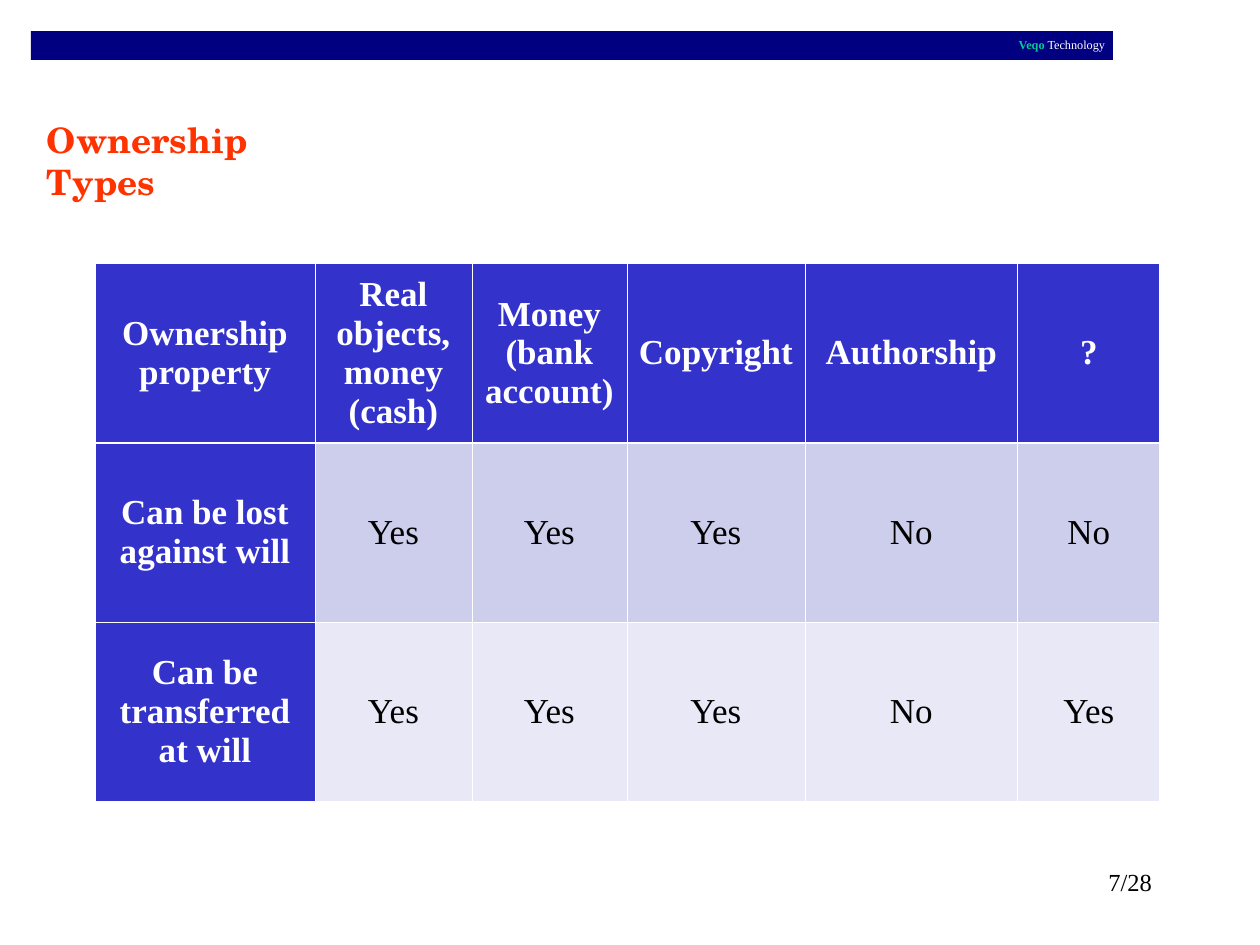
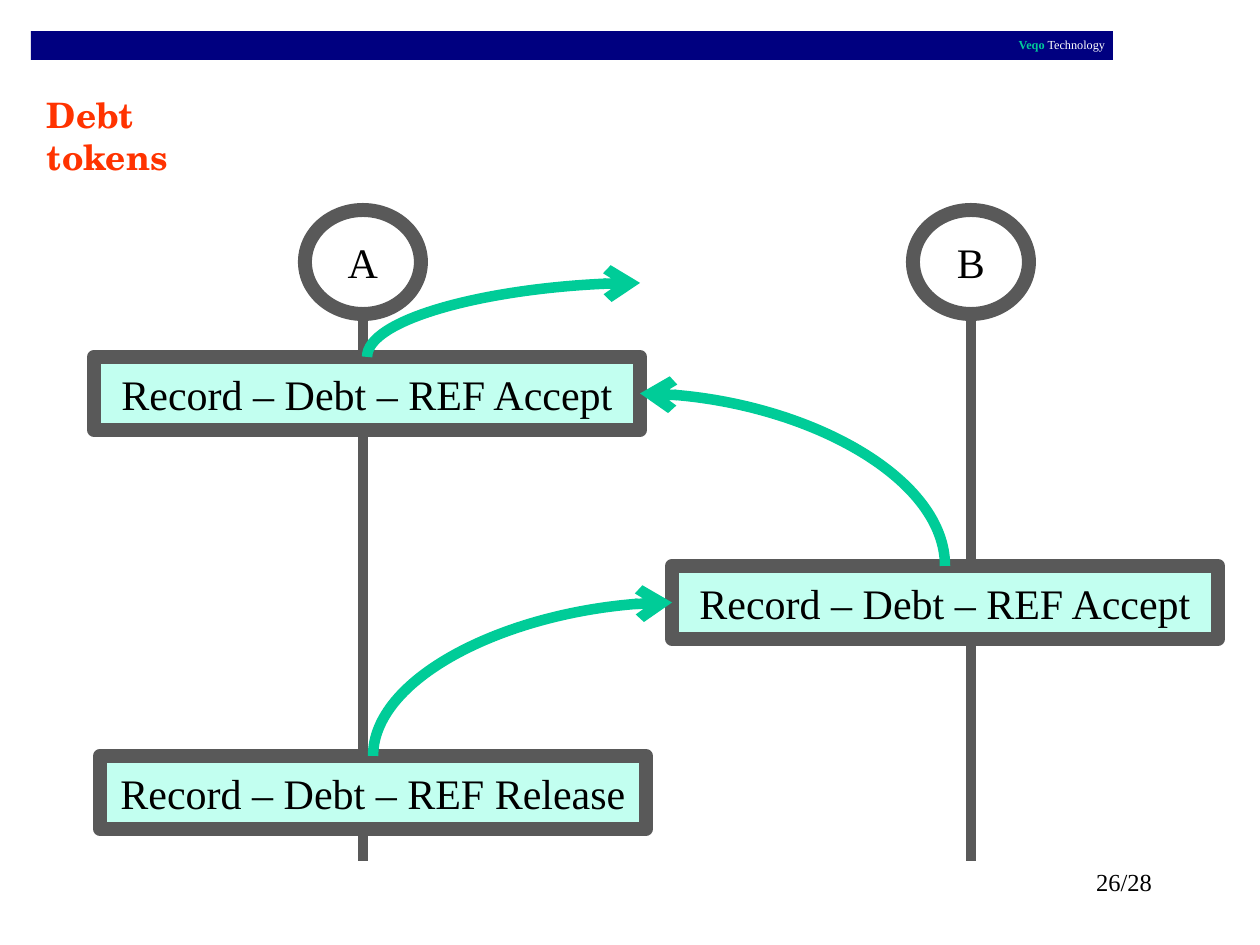
from dataclasses import dataclass

from lxml import etree
from pptx import Presentation
from pptx.dml.color import RGBColor
from pptx.enum.shapes import MSO_CONNECTOR, MSO_SHAPE
from pptx.enum.text import MSO_ANCHOR, MSO_AUTO_SIZE, PP_ALIGN
from pptx.oxml.ns import qn
from pptx.util import Inches, Pt

RECT, OVAL = MSO_SHAPE.RECTANGLE, MSO_SHAPE.OVAL
STRAIGHT, CURVE = MSO_CONNECTOR.STRAIGHT, MSO_CONNECTOR.CURVE
LEFT, CENTER, RIGHT = PP_ALIGN.LEFT, PP_ALIGN.CENTER, PP_ALIGN.RIGHT
TOP, MIDDLE = MSO_ANCHOR.TOP, MSO_ANCHOR.MIDDLE
GROW = MSO_AUTO_SIZE.SHAPE_TO_FIT_TEXT
SITE_TOP, SITE_LEFT, SITE_RIGHT = 0, 1, 3
SCALE = Inches(1) / 126


@dataclass(frozen=True)
class Theme:
    serif: str = "Times New Roman"
    display: str = "TeX Gyre Schola"
    navy: str = "000080"
    green: str = "00CC99"
    arrow: str = "00CC98"
    red: str = "FF3300"
    blue: str = "3333CC"
    band_dark: str = "CDCDEC"
    band_light: str = "E8E8F6"
    mint: str = "C2FFF0"
    grey: str = "595959"
    white: str = "FFFFFF"
    black: str = "000000"
    brand_size: int = 7
    page_size: int = 14
    title_size: int = 20
    cell_size: int = 20
    node_size: int = 24
    outline: int = 8
    stroke: int = 6
    thin: float = 0.45
    thick: float = 1.47


T = Theme()


def px(n):
    return round(n * SCALE)


def rgb(color):
    return RGBColor.from_string(color)


def add_run(p, text, color, size, name=T.serif, bold=False):
    r = p.add_run()
    r.text = text
    r.font.color.rgb = rgb(color)
    for key, value in {"size": Pt(size), "name": name, "bold": bold}.items():
        setattr(r.font, key, value)


def format_frame(tf, anchor=TOP, inset_x=13, inset_y=6):
    values = {"word_wrap": True, "vertical_anchor": anchor,
              "margin_left": px(inset_x), "margin_right": px(inset_x),
              "margin_top": px(inset_y), "margin_bottom": px(inset_y)}
    for key, value in values.items():
        setattr(tf, key, value)


def add_text(s, box, text, align=LEFT, **font):
    tf = s.shapes.add_textbox(*map(px, box)).text_frame
    format_frame(tf)
    p = tf.paragraphs[0]
    p.alignment = align
    add_run(p, text, **font)
    return tf


def add_box(s, kind, box, fill=None, outline=None):
    sp = s.shapes.add_shape(kind, *map(px, box))
    sp.shadow.inherit = False
    if fill:
        sp.fill.solid()
        sp.fill.fore_color.rgb = rgb(fill)
    else:
        sp.fill.background()
    if outline:
        sp.line.color.rgb = rgb(outline)
        sp.line.width = Pt(T.outline)
    else:
        sp.line.fill.background()
    return sp


def add_node(s, kind, box, text, fill=None):
    sp = add_box(s, kind, box, fill, T.grey)
    format_frame(sp.text_frame, MIDDLE)
    p = sp.text_frame.paragraphs[0]
    p.alignment = CENTER
    add_run(p, text, T.black, T.node_size)
    return sp


def style_line(c, color):
    c.line.color.rgb = rgb(color)
    c.line.width = Pt(T.stroke)
    etree.SubElement(c._element.spPr, qn("a:effectLst"))


def add_lifeline(s, x, top, bottom):
    c = s.shapes.add_connector(STRAIGHT, *map(px, (x, top, x, bottom)))
    style_line(c, T.grey)


def add_curve(s, source, end, target=None, site=SITE_LEFT):
    x1, y1 = source.left + source.width // 2, source.top
    x2, y2 = end
    c = s.shapes.add_connector(CURVE, x1, y1, x2, y2)
    c.begin_connect(source, SITE_TOP)
    if target:
        c.end_connect(target, site)
    run, rise = abs(x2 - x1), abs(y2 - y1)
    frame = {"left": (x1 + x2 - rise) // 2, "top": (y1 + y2 - run) // 2,
             "width": rise, "height": run}
    for key, value in frame.items():
        setattr(c, key, value)
    rightward = x2 > x1
    turn = {"rot": "5400000" if rightward else "16200000",
            "flipH": "1" if rightward else "0", "flipV": "1"}
    spPr = c._element.spPr
    for key, value in turn.items():
        spPr.find(qn("a:xfrm")).set(key, value)
    spPr.find(qn("a:prstGeom")).set("prst", "curvedConnector2")
    style_line(c, T.arrow)
    etree.SubElement(spPr.find(qn("a:ln")), qn("a:tailEnd"), type="arrow")


def side_point(sp, site):
    x = sp.left + (sp.width if site == SITE_RIGHT else 0)
    return x, sp.top + sp.height // 2


def add_border(cell, side, width):
    ln = etree.SubElement(cell._tc.get_or_add_tcPr(), qn(f"a:ln{side}"), w=str(Pt(width)))
    fill = etree.SubElement(ln, qn("a:solidFill"))
    etree.SubElement(fill, qn("a:srgbClr"), val=T.white)


def fill_cell(cell, text, row, col):
    heading = row == 0 or col == 0
    format_frame(cell.text_frame)
    margins = {"margin_left": px(10), "margin_right": px(10),
               "margin_top": px(6), "margin_bottom": px(6), "vertical_anchor": MIDDLE}
    for key, value in margins.items():
        setattr(cell, key, value)
    for i, line in enumerate(text.split("\n")):
        tf = cell.text_frame
        p = tf.add_paragraph() if i else tf.paragraphs[0]
        p.alignment = CENTER
        add_run(p, line, T.white if heading else T.black, T.cell_size, bold=heading)
    thick_side = {0: "B", 1: "T"}.get(row)
    for side in "LRTB":
        add_border(cell, side, T.thick if side == thick_side else T.thin)
    band = T.band_dark if row % 2 else T.band_light
    cell.fill.solid()
    cell.fill.fore_color.rgb = rgb(T.blue if heading else band)


def add_grid(s, left, top, widths, row_height, rows):
    box = (left, top, sum(widths), row_height * len(rows))
    table = s.shapes.add_table(len(rows), len(widths), *map(px, box)).table
    table.first_row = table.horz_banding = False
    for column, width in zip(table.columns, widths):
        column.width = px(width)
    for i, row in enumerate(rows):
        table.rows[i].height = px(row_height)
        for j, text in enumerate(row):
            fill_cell(table.cell(i, j), text, i, j)


def add_frame(prs, title, title_box, page):
    s = prs.slides.add_slide(prs.slide_layouts[6])
    bar = add_box(s, RECT, (31, 31, 1082, 29), T.navy)
    format_frame(bar.text_frame, MIDDLE, 8, 8)
    p = bar.text_frame.paragraphs[0]
    p.alignment, p.line_spacing = RIGHT, 0.8
    add_run(p, "Veqo ", T.green, T.brand_size, bold=True)
    add_run(p, "Technology", T.white, T.brand_size)
    tf = add_text(s, title_box, title, color=T.red, size=T.title_size,
                  name=T.display, bold=True)
    tf.auto_size = GROW
    add_text(s, (903, 861, 262, 63), f"{page}/28", RIGHT, color=T.black, size=T.page_size)
    return s


def build_ownership(prs):
    s = add_frame(prs, "Ownership Types", (34, 112, 331, 55), 7)
    rows = [
        ["Ownership property", "Real objects,\nmoney (cash)", "Money\n(bank account)",
         "Copyright", "Authorship", "?"],
        ["Can be lost against will", "Yes", "Yes", "Yes", "No", "No"],
        ["Can be transferred at will", "Yes", "Yes", "Yes", "No", "Yes"],
    ]
    add_grid(s, 95, 263, (220, 157, 155, 178, 213, 142), 179, rows)


def build_debt_tokens(prs):
    s = add_frame(prs, "Debt tokens", (34, 87, 234, 55), 26)
    for name, left in (("A", 305), ("B", 913)):
        add_lifeline(s, left + 58, 314, 861)
        add_node(s, OVAL, (left, 210, 116, 104), name)
    records = [("Accept", 94, 357), ("Release", 100, 756), ("Accept", 672, 566)]
    accept_a, release_a, accept_b = [
        add_node(s, RECT, (left, top, 546, 73), f"Record – Debt – REF {action}", T.mint)
        for action, left, top in records]
    for source, target, site in ((release_a, accept_b, SITE_LEFT),
                                 (accept_b, accept_a, SITE_RIGHT)):
        add_curve(s, source, side_point(target, site), target, site)
    add_curve(s, accept_a, (px(640), px(283)))


def main():
    prs = Presentation()
    prs.slide_width, prs.slide_height = px(1260), px(945)
    build_ownership(prs)
    build_debt_tokens(prs)
    prs.save("out.pptx")


if __name__ == "__main__":
    main()
